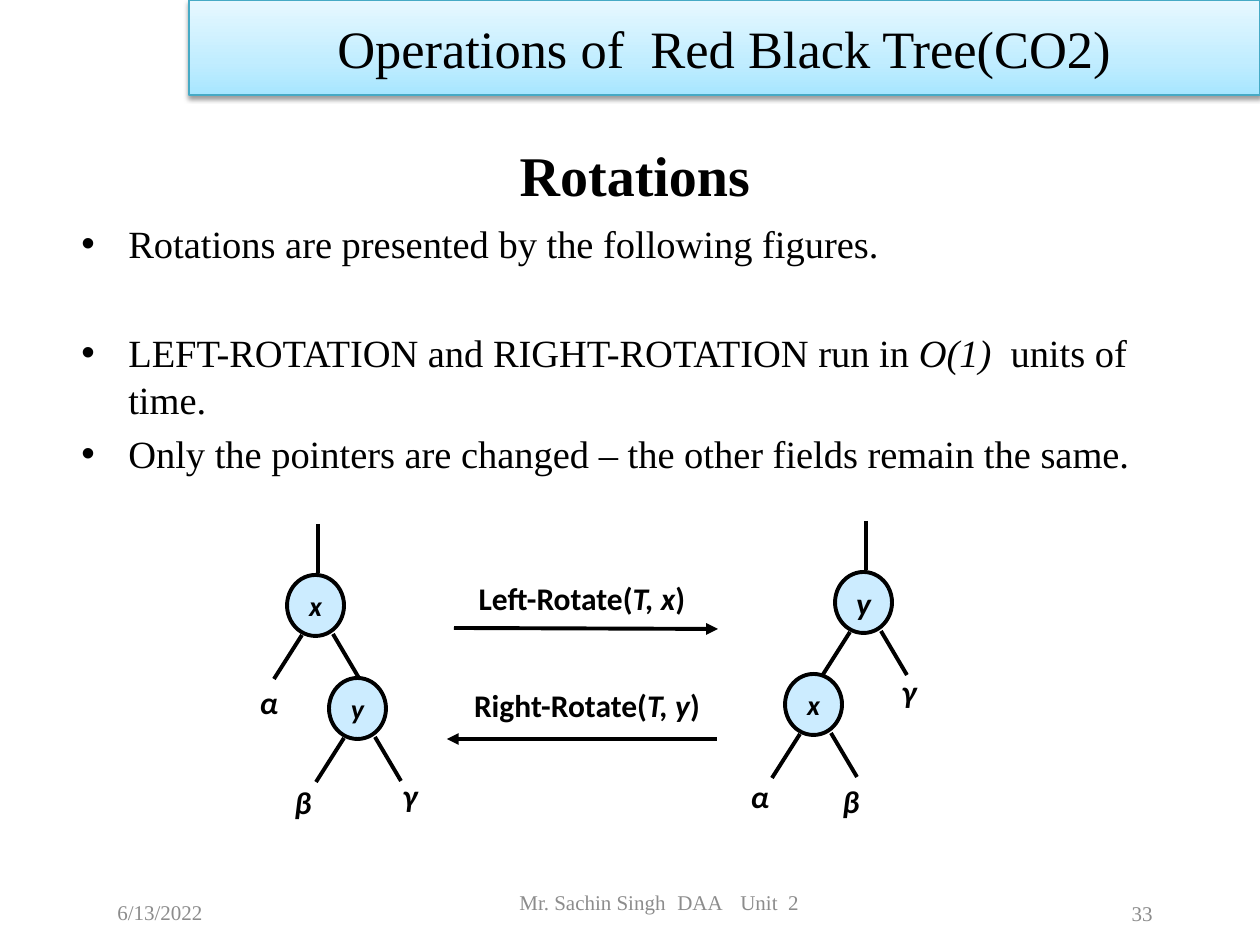
from pptx import Presentation
from pptx.dml.color import RGBColor
from pptx.enum.shapes import MSO_CONNECTOR, MSO_SHAPE
from pptx.enum.text import MSO_ANCHOR, PP_ALIGN
from pptx.oxml import parse_xml
from pptx.oxml.ns import nsdecls, qn
from pptx.util import Emu, Pt
from lxml.etree import SubElement

PX_PER_INCH = 126
BLACK = RGBColor(0x00, 0x00, 0x00)
GREY = RGBColor(0x8C, 0x8C, 0x8C)
NODE_BLUE = RGBColor(0xCC, 0xEC, 0xFF)
HEADER_LINE = RGBColor(0x46, 0xAA, 0xC5)
HEADER_STOPS = (
    (0, RGBColor(0xA7, 0xE6, 0xFF)),
    (35, RGBColor(0xC1, 0xED, 0xFF)),
    (100, RGBColor(0xE7, 0xF8, 0xFF)),
)
SERIF = {"name": "Times New Roman"}
HEADER = {**SERIF, "size": Pt(30)}
TITLE = {**SERIF, "size": Pt(32), "bold": True}
BODY = {**SERIF, "size": Pt(22)}
FOOTER = {**SERIF, "size": Pt(12)}
LABEL = {"name": "Calibri", "size": Pt(18), "bold": True}
SYMBOL = {**LABEL, "italic": True}
SMALL_SYMBOL = {**SYMBOL, "size": Pt(16)}

NODE_WIDTH, NODE_HEIGHT = 57, 61
# Lines around a node, measured from its top left corner
STEM = (31, -51, 31, -2)
BRANCHES = ((15, 60, -13, 104), (46, 59, 72, 103))


def px(value):
    return Emu(round(value * 914400 / PX_PER_INCH))


def set_attributes(target, values):
    for name, value in values.items():
        setattr(target, name, value)


def add_run(paragraph, text, font, color=BLACK):
    run = paragraph.add_run()
    run.text = text
    set_attributes(run.font, font)
    run.font.color.rgb = color


def set_text(shape, runs, align=PP_ALIGN.CENTER, color=BLACK, wrap=True):
    """Fill a shape with one vertically centred paragraph of (text, font) runs."""
    frame = shape.text_frame
    set_attributes(frame, {"word_wrap": wrap, "vertical_anchor": MSO_ANCHOR.MIDDLE})
    paragraph = frame.paragraphs[0]
    paragraph.alignment = align
    for text, font in runs:
        add_run(paragraph, text, font, color)
    return paragraph


def add_box(slide, left, top, width, height):
    return slide.shapes.add_textbox(px(left), px(top), px(width), px(height))


def add_line(slide, left, top, points, arrow=False):
    x1, y1, x2, y2 = points
    line = slide.shapes.add_connector(
        MSO_CONNECTOR.STRAIGHT,
        px(left + x1), px(top + y1), px(left + x2), px(top + y2))
    line.line.color.rgb = BLACK
    line.line.width = Pt(2.25)
    properties = line._element.spPr
    if arrow:
        SubElement(properties.find(qn("a:ln")), qn("a:tailEnd"), type="triangle")
    SubElement(properties, qn("a:effectLst"))


def add_header(slide, left, top, width, height):
    header = slide.shapes.add_shape(
        MSO_SHAPE.RECTANGLE, px(left), px(top), px(width), px(height))
    header.line.color.rgb = HEADER_LINE
    header.line.width = Pt(0.75)
    stops = "".join(
        f'<a:gs pos="{position * 1000}"><a:srgbClr val="{color}"/></a:gs>'
        for position, color in HEADER_STOPS)
    properties = header._element.spPr
    properties.find(qn("a:ln")).addprevious(parse_xml(
        f'<a:gradFill {nsdecls("a")} rotWithShape="1"><a:gsLst>{stops}</a:gsLst>'
        '<a:lin ang="16200000" scaled="0"/></a:gradFill>'))
    properties.append(parse_xml(
        f'<a:effectLst {nsdecls("a")}><a:outerShdw blurRad="{Pt(3.1)}" '
        f'dist="{Pt(1.6)}" dir="5400000" rotWithShape="0"><a:srgbClr val="{BLACK}">'
        '<a:alpha val="38000"/></a:srgbClr></a:outerShdw></a:effectLst>'))
    set_text(header, [("Operations of  Red Black Tree(CO2)", HEADER)])


def add_bullets(slide, left, top, width, height):
    bullets = (
        (0, [("Rotations are presented by the following figures.", False)]),
        (36, [("LEFT-ROTATION and RIGHT-ROTATION run in ", False),
              ("O(1) ", True), (" units of time.", False)]),
        (5, [("Only the pointers are changed – the other fields remain the same.",
              False)]),
    )
    frame = add_box(slide, left, top, width, height).text_frame
    frame.word_wrap = True
    for index, (gap, runs) in enumerate(bullets):
        paragraph = frame.add_paragraph() if index else frame.paragraphs[0]
        paragraph.space_before = Pt(gap)
        properties = paragraph._p.get_or_add_pPr()
        properties.set("marL", str(px(47)))
        properties.set("indent", str(-px(47)))
        SubElement(properties, qn("a:buFont"), typeface="Arial")
        SubElement(properties, qn("a:buChar"), char="•")
        for text, italic in runs:
            add_run(paragraph, text, {**BODY, "italic": italic})


def add_node(slide, left, top, name, font):
    """Draw a node with the two branches below it."""
    for branch in BRANCHES:
        add_line(slide, left, top, branch)
    node = slide.shapes.add_shape(
        MSO_SHAPE.OVAL, px(left), px(top), px(NODE_WIDTH), px(NODE_HEIGHT))
    node.shadow.inherit = False
    node.fill.solid()
    node.fill.fore_color.rgb = NODE_BLUE
    node.line.color.rgb = BLACK
    node.line.width = Pt(2.25)
    set_text(node, [(name, font)], wrap=False)


def add_tree(slide, left, top, nodes, subtrees):
    """Draw nodes from the root down, then subtree names at their centres."""
    root_x, root_y = nodes[0][:2]
    add_line(slide, left + root_x, top + root_y, STEM)
    for x, y, name, font in nodes:
        add_node(slide, left + x, top + y, name, font)
    for name, (x, y) in zip("αβγ", subtrees):
        box = add_box(slide, left + x - 33, top + y - 29, 66, 58)
        set_text(box, [(name, SYMBOL)], wrap=False)


def add_rotation(slide, left, top, name, arguments, arrow):
    """Write a rotation call above its arrow."""
    box = add_box(slide, left, top, 280, 72)
    set_text(box, [(f"{name}(", LABEL), (arguments, SYMBOL), (")", LABEL)], wrap=False)
    add_line(slide, left, top, arrow, arrow=True)


def add_footer(slide, left, top, width, height):
    date = add_box(slide, left, top + 10, 284, height)
    set_text(date, [("6/13/2022", FOOTER)], PP_ALIGN.LEFT, GREY)
    number = add_box(slide, left + width - 220, top + 11, 220, height)
    set_text(number, [("33", FOOTER)], PP_ALIGN.RIGHT, GREY)
    course = add_box(slide, left + 308, top, 519, height)
    paragraph = set_text(course, [], PP_ALIGN.LEFT)
    properties = paragraph._p.get_or_add_pPr()
    properties.set("marL", "0")
    properties.set("indent", str(px(94)))
    tabs = SubElement(properties, qn("a:tabLst"))
    for position in (266, 342):
        SubElement(tabs, qn("a:tab"), pos=str(px(position)), algn="l")
    add_run(paragraph, "Mr. Sachin Singh\tDAA\tUnit  2", FOOTER, GREY)


def main():
    presentation = Presentation()
    presentation.slide_width, presentation.slide_height = px(1260), px(945)
    slide = presentation.slides.add_slide(presentation.slide_layouts[6])
    set_text(add_box(slide, 105, 148, 1060, 52), [("Rotations", TITLE)])
    add_bullets(slide, 69, 214, 1096, 292)
    add_tree(slide, 240, 520,
             [(47, 55, "x", SMALL_SYMBOL), (89, 158, "y", SMALL_SYMBOL)],
             [(29, 182), (63, 282), (170, 275)])
    add_tree(slide, 730, 520,
             [(105, 52, "y", SYMBOL), (55, 154, "x", SMALL_SYMBOL)],
             [(30, 276), (121, 281), (179, 171)])
    add_rotation(slide, 442, 562, "Left-Rotate", "T, x", (12, 66, 276, 67))
    add_rotation(slide, 447, 669, "Right-Rotate", "T, y", (270, 70, 0, 70))
    add_footer(slide, 105, 871, 1060, 63)
    add_header(slide, 189, 0, 1071, 95)
    presentation.save("out.pptx")


if __name__ == "__main__":
    main()
